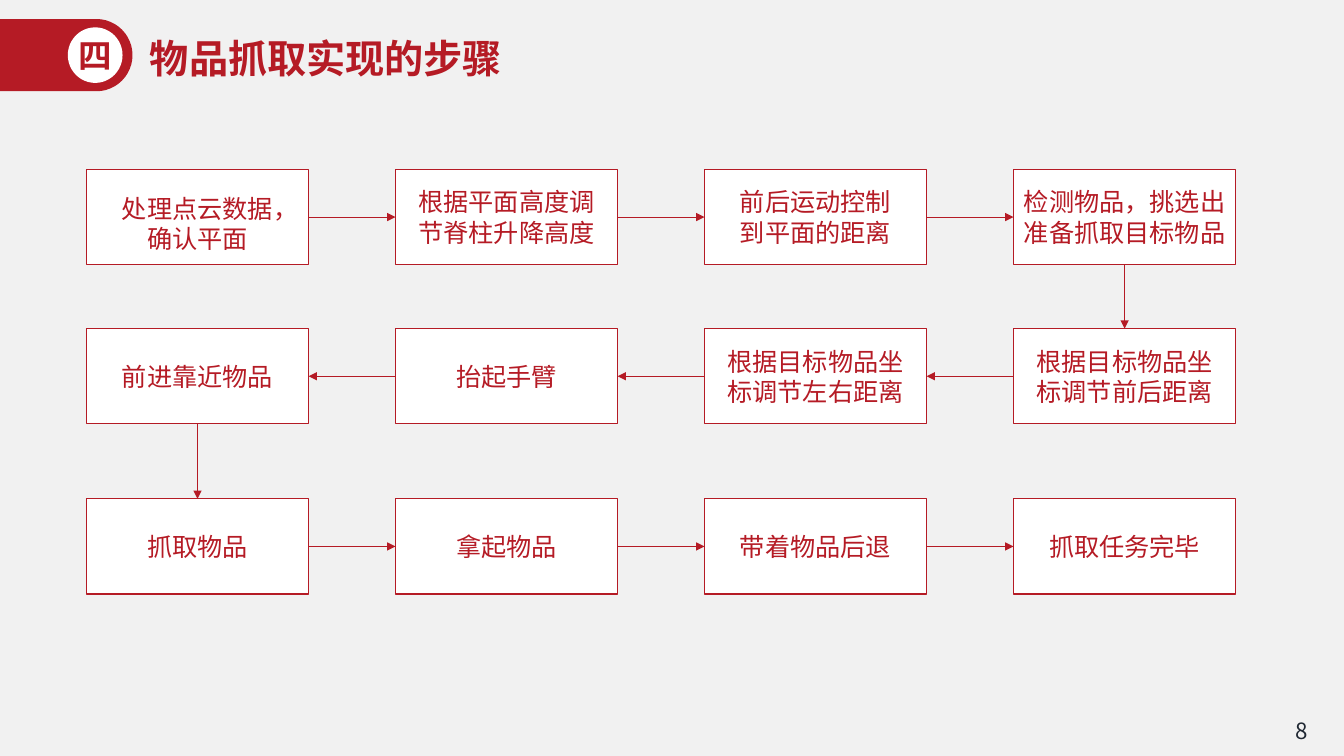
import math

import pptx
import pptx.dml.color
import pptx.enum.shapes
import pptx.enum.text
import pptx.oxml.ns
import pptx.util
from lxml import etree

Cm, Pt = pptx.util.Cm, pptx.util.Pt
RGB = pptx.dml.color.RGBColor.from_string
SHAPE = pptx.enum.shapes.MSO_SHAPE
ALIGN = pptx.enum.text.PP_ALIGN
qn = pptx.oxml.ns.qn

THEME = {
    "red": RGB("B51B25"), "white": RGB("FFFFFF"), "paper": RGB("F1F1F1"), "ink": RGB("202833"),
    "title": Pt(28), "badge": Pt(24), "step": Pt(18), "number": Pt(16),
    "heading_font": "Noto Sans CJK SC", "step_font": "Arial", "rule": Pt(0.75),
}
STEP_ROWS = [
    ["处理点云数据，确认平面", "根据平面高度调节脊柱升降高度",
     "前后运动控制到平面的距离", "检测物品，挑选出准备抓取目标物品"],
    ["根据目标物品坐标调节前后距离", "根据目标物品坐标调节左右距离", "抬起手臂", "前进靠近物品"],
    ["抓取物品", "拿起物品", "带着物品后退", "抓取任务完毕"],
]
ROW_TOPS = [4.27, 8.28, 12.57]
FIRST_LEFT, COLUMN_PITCH = 2.18, 7.79
STEP_WIDTH, STEP_HEIGHT = 5.6, 2.4
CHARACTER_WIDTH = 0.635
LAST_COLUMN = 3
TOP, LEFT, BOTTOM, RIGHT = range(4)


def write(shape, text, size, font, color="red", bold=False, align=ALIGN.CENTER, wrap=True, inset=0):
    frame = shape.text_frame
    frame_format = {
        "word_wrap": wrap, "auto_size": pptx.enum.text.MSO_AUTO_SIZE.NONE,
        "vertical_anchor": pptx.enum.text.MSO_ANCHOR.MIDDLE,
        "margin_left": Cm(inset), "margin_right": Cm(inset), "margin_top": 0, "margin_bottom": 0,
    }
    for name, value in frame_format.items():
        setattr(frame, name, value)
    paragraph = frame.paragraphs[0]
    paragraph.alignment = align
    run = paragraph.add_run()
    run.text = text
    run.font.color.rgb = THEME[color]
    for name, value in {"size": THEME[size], "name": THEME[font], "bold": bold}.items():
        setattr(run.font, name, value)
    east_asian = etree.SubElement(run.font._element, qn("a:ea"))
    east_asian.set("typeface", THEME["heading_font"])


def add_filled(kind, left, top, width, height, color):
    shape = slide.shapes.add_shape(kind, Cm(left), Cm(top), Cm(width), Cm(height))
    shape.shadow.inherit = False
    shape.fill.solid()
    shape.fill.fore_color.rgb = THEME[color]
    shape.line.fill.background()
    return shape


prs = pptx.Presentation()
prs.slide_width, prs.slide_height = Cm(33.88), Cm(19.05)
slide = prs.slides.add_slide(prs.slide_layouts[5])
slide.background.fill.solid()
slide.background.fill.fore_color.rgb = THEME["paper"]

# Heading: a ribbon rounded on its right, the section badge and the title
ribbon = add_filled(SHAPE.ROUND_2_SAME_RECTANGLE, 0.76, -0.28, 1.82, 3.34, "red")
ribbon.rotation = 90
ribbon.adjustments[0] = 0.5
badge = add_filled(SHAPE.OVAL, 1.71, 0.69, 1.38, 1.4, "white")
write(badge, "四", "badge", "heading_font", bold=True, wrap=False)

title = slide.shapes.title
title_place = {"left": Cm(3.53), "top": Cm(0.72), "width": Cm(9.6), "height": Cm(1.45)}
for name, value in title_place.items():
    setattr(title, name, value)
write(title, "物品抓取实现的步骤", "title", "heading_font", bold=True, align=ALIGN.LEFT, inset=0.25)

# Steps run left to right, then back, then left to right again
steps = []
for row, (top, labels) in enumerate(zip(ROW_TOPS, STEP_ROWS)):
    for position, label in enumerate(labels):
        column = LAST_COLUMN - position if row % 2 else position
        left = FIRST_LEFT + column * COLUMN_PITCH
        step = add_filled(SHAPE.RECTANGLE, left, top, STEP_WIDTH, STEP_HEIGHT, "white")
        step.line.color.rgb = THEME["red"]
        step.line.width = THEME["rule"]
        line_length = max(6, math.ceil(len(label) / 2))
        inset = (STEP_WIDTH - line_length * CHARACTER_WIDTH - 0.1) / 2
        write(step, label, "step", "step_font", inset=inset)
        steps.append((row, step))
steps[0][1].text_frame.margin_top = Cm(0.34)

for (row, start), (next_row, end) in zip(steps, steps[1:]):
    if next_row != row:
        sides = BOTTOM, TOP
    else:
        sides = (LEFT, RIGHT) if row % 2 else (RIGHT, LEFT)
    arrow = slide.shapes.add_connector(pptx.enum.shapes.MSO_CONNECTOR.STRAIGHT, 0, 0, 0, 0)
    arrow.begin_connect(start, sides[0])
    arrow.end_connect(end, sides[1])
    arrow.line.color.rgb = THEME["red"]
    arrow.line.width = THEME["rule"]
    etree.SubElement(arrow.line._get_or_add_ln(), qn("a:tailEnd")).set("type", "triangle")
    etree.SubElement(arrow._element.spPr, qn("a:effectLst"))

page_number = slide.shapes.add_textbox(Cm(32.18), Cm(17.93), Cm(1.27), Cm(0.94))
write(page_number, "8", "number", "heading_font", color="ink", wrap=False)

prs.save("out.pptx")
